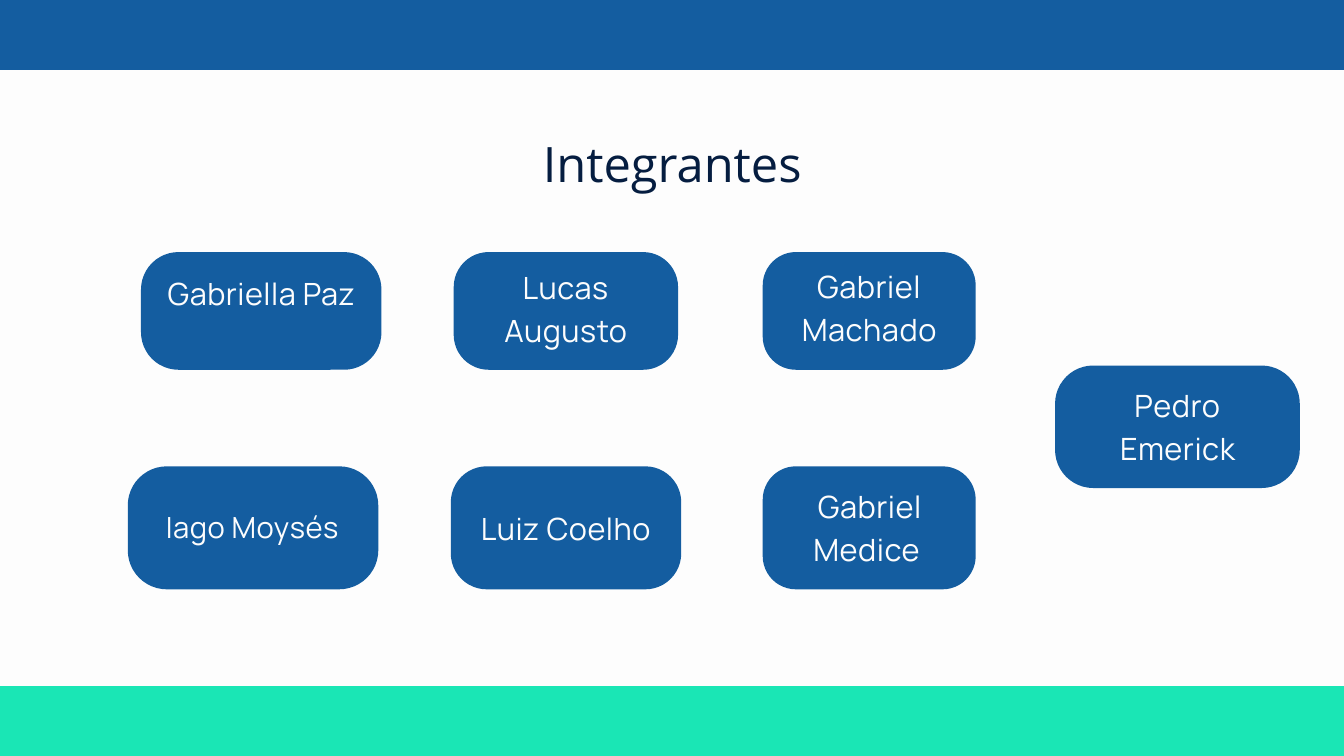
from pptx import Presentation
from pptx.dml.color import RGBColor
from pptx.enum.shapes import MSO_SHAPE
from pptx.enum.text import MSO_ANCHOR, PP_ALIGN
from pptx.util import Cm, Pt

RECTANGLE = MSO_SHAPE.RECTANGLE
ROUNDED = MSO_SHAPE.ROUNDED_RECTANGLE
TOP = MSO_ANCHOR.TOP
CENTER = PP_ALIGN.CENTER

BLUE = RGBColor(0x14, 0x5D, 0xA0)
GREEN = RGBColor(0x1A, 0xE6, 0xB5)
NAVY = RGBColor(0x05, 0x1D, 0x40)
OFF_WHITE = RGBColor(0xFD, 0xFD, 0xFD)

SLIDE_W, SLIDE_H = 50.8, 28.58
BAND_H = 2.64
CORNER = 0.156  # corner radius as a share of card width
TOP_ROW, MIDDLE_ROW, BOTTOM_ROW = (9.53, 4.45), (13.82, 4.63), (17.63, 4.65)

# name, row, card left, card width, label offset x and y, label width, font size
MEMBERS = [
    ("Gabriella Paz", TOP_ROW, 5.33, 9.09, 0.54, 0.63, 8.03, 32.8),
    ("Lucas Augusto", TOP_ROW, 17.15, 8.48, 0.22, 0.4, 8.03, 32.8),
    ("Gabriel Machado", TOP_ROW, 28.83, 8.05, 0, 0.38, 8.05, 32.9),
    ("Iago Moysés", BOTTOM_ROW, 4.83, 9.47, 0.5, 1.39, 8.41, 31.2),
    ("Luiz Coelho", BOTTOM_ROW, 17.04, 8.71, 0.33, 1.42, 8.03, 32.8),
    ("Gabriel Medice ", BOTTOM_ROW, 28.83, 8.05, 0.38, 0.56, 7.34, 32.9),
    ("Pedro Emerick", MIDDLE_ROW, 39.88, 9.25, 0.96, 0.56, 7.34, 32.9),
]


def write(sp, text, *, font, size, color, spacing=0):
    """Fill a shape with one centred paragraph; spacing is in points."""
    tf = sp.text_frame
    tf.word_wrap = True
    tf.vertical_anchor = TOP
    tf.margin_left = tf.margin_right = tf.margin_top = tf.margin_bottom = 0
    p = tf.paragraphs[0]
    p.alignment = CENTER
    p.line_spacing = Pt(round(size * 1.4, 1))
    r = p.add_run()
    r.text = text
    r.font.name = font
    r.font.size = Pt(size)
    r.font.bold = False
    r.font.color.rgb = color
    if spacing:
        r._r.get_or_add_rPr().set("spc", str(round(spacing * 100)))


def add_block(s, kind, x, y, w, h, color):
    sp = s.shapes.add_shape(kind, Cm(x), Cm(y), Cm(w), Cm(h))
    sp.shadow.inherit = False
    sp.fill.solid()
    sp.fill.fore_color.rgb = color
    sp.line.fill.background()
    return sp


def add_title(s, x, y, w, h):
    title = s.shapes.title
    title.left, title.top, title.width, title.height = Cm(x), Cm(y), Cm(w), Cm(h)
    write(title, "Integrantes", font="Open Sans", size=52.3, color=NAVY)


def add_member(s, name, row, x, w, dx, dy, label_w, size):
    """Draw a member's card with the name set at an offset inside it."""
    y, h = row
    card = add_block(s, ROUNDED, x, y, w, h, BLUE)
    card.adjustments[0] = CORNER * w / h
    label = s.shapes.add_textbox(Cm(x + dx), Cm(y + dy), Cm(label_w), Cm(h - 2 * dy))
    write(label, name, font="Manrope", size=size, color=OFF_WHITE, spacing=0.6)


def main():
    prs = Presentation()
    prs.slide_width, prs.slide_height = Cm(SLIDE_W), Cm(SLIDE_H)
    s = prs.slides.add_slide(prs.slide_layouts[5])
    s.background.fill.solid()
    s.background.fill.fore_color.rgb = OFF_WHITE

    add_block(s, RECTANGLE, 0, 0, SLIDE_W, BAND_H, BLUE)
    add_block(s, RECTANGLE, 0, SLIDE_H - BAND_H, SLIDE_W, BAND_H, GREEN)
    add_title(s, 18.85, 4.67, 13.13, 2.51)
    for member in MEMBERS:
        add_member(s, *member)
    prs.save("out.pptx")


if __name__ == "__main__":
    main()
